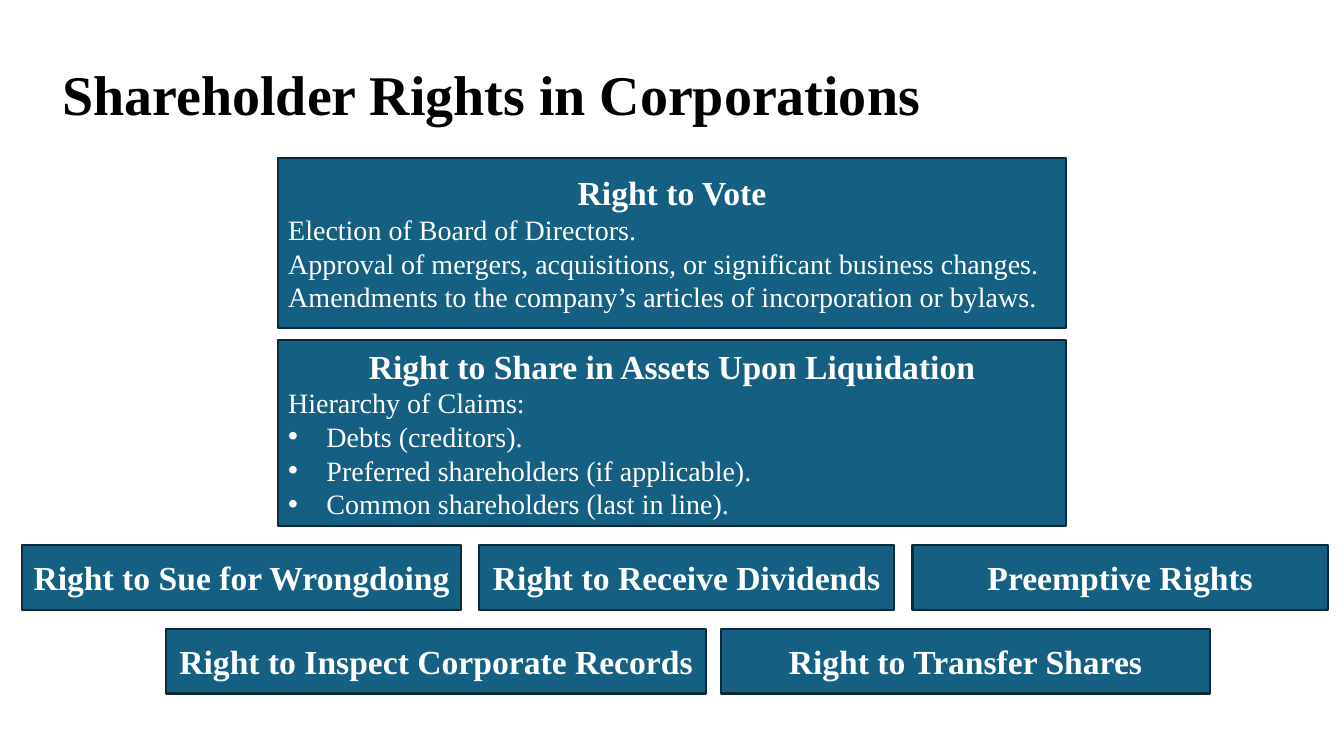
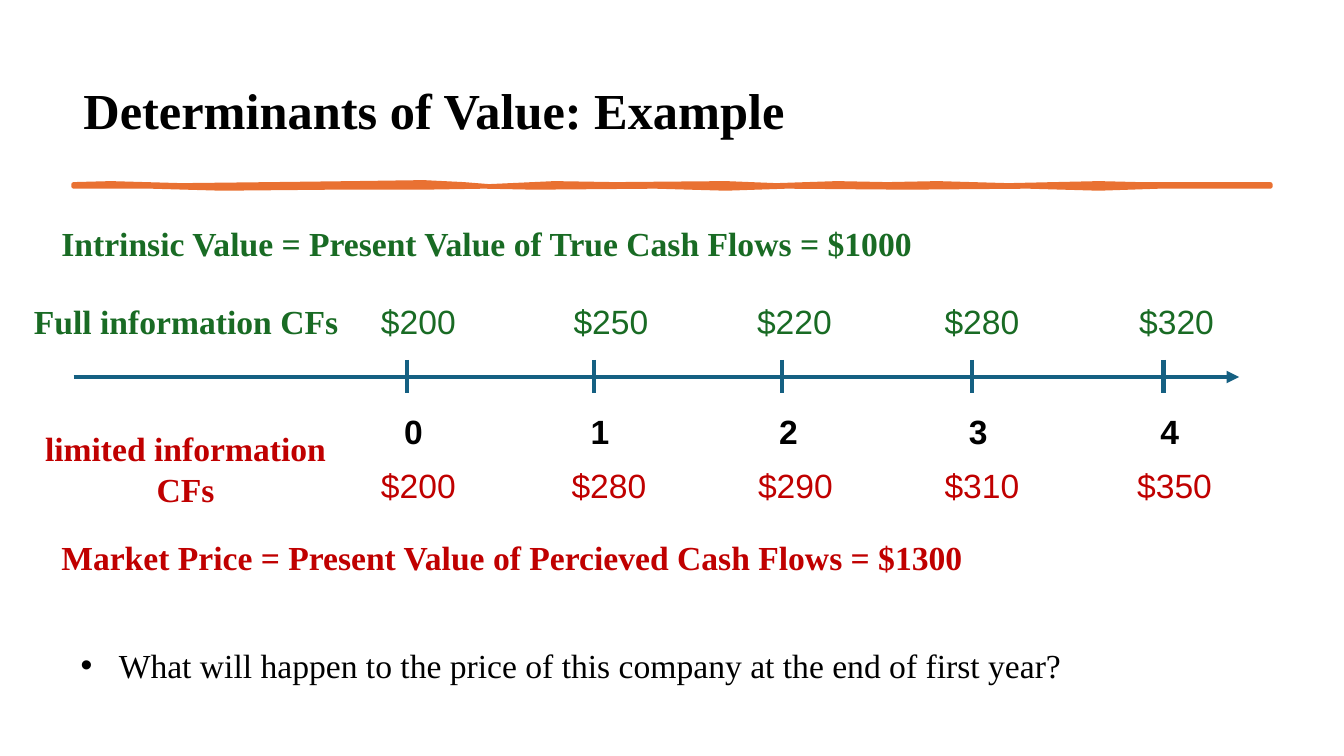
from typing import NamedTuple, Sequence

from lxml.etree import SubElement
from pptx import Presentation
from pptx.dml.color import RGBColor
from pptx.enum.shapes import MSO_CONNECTOR, MSO_SHAPE
from pptx.enum.text import MSO_ANCHOR, PP_ALIGN
from pptx.oxml.ns import qn
from pptx.slide import Slide
from pptx.text.text import TextFrame
from pptx.util import Inches, Pt

BLACK = RGBColor(0x00, 0x00, 0x00)
WHITE = RGBColor(0xFF, 0xFF, 0xFF)
BLUE = RGBColor(0x15, 0x60, 0x82)
NAVY = RGBColor(0x09, 0x2A, 0x39)
GREEN = RGBColor(0x19, 0x6B, 0x24)
RED = RGBColor(0xC0, 0x00, 0x00)
ORANGE = RGBColor(0xE9, 0x71, 0x32)
SERIF = "Times New Roman"
SANS = "Arial"


class Area(NamedTuple):
    left: float
    top: float
    width: float
    height: float

    def lengths(self) -> list[Inches]:
        return [Inches(value) for value in self]


class Right(NamedTuple):
    area: Area
    heading: str
    details: Sequence[str] = ()
    bullets: Sequence[str] = ()


class RightsRow(NamedTuple):
    left: float
    top: float
    gap: float
    entries: Sequence[tuple[str, float]]


class Period(NamedTuple):
    tick: float
    true_left: float
    true_flow: str
    perceived_left: float
    perceived_flow: str


class Statement(NamedTuple):
    area: Area
    text: str
    color: RGBColor
    align: PP_ALIGN = PP_ALIGN.LEFT
    wrap: bool = False


RIGHTS = (
    Right(
        Area(2.76, 1.57, 7.81, 1.68),
        "Right to Vote",
        (
            "Election of Board of Directors.",
            "Approval of mergers, acquisitions, or significant business changes.",
            "Amendments to the company’s articles of incorporation or bylaws.",
        ),
    ),
    Right(
        Area(2.76, 3.37, 7.81, 1.85),
        "Right to Share in Assets Upon Liquidation",
        ("Hierarchy of Claims:",),
        (
            "Debts (creditors).",
            "Preferred shareholders (if applicable).",
            "Common shareholders (last in line).",
        ),
    ),
)
RIGHTS_ROWS = (
    RightsRow(0.22, 5.41, 0.18, (
        ("Right to Sue for Wrongdoing", 4.35),
        ("Right to Receive Dividends", 4.12),
        ("Preemptive Rights", 4.12),
    )),
    RightsRow(1.65, 6.24, 0.15, (
        ("Right to Inspect Corporate Records", 5.35),
        ("Right to Transfer Shares", 4.85),
    )),
)
ROW_HEIGHT = 0.64

PERIODS = (
    Period(4.04, 3.68, "$200", 3.68, "$200"),
    Period(5.89, 5.59, "$250", 5.57, "$280"),
    Period(7.76, 7.41, "$220", 7.42, "$290"),
    Period(9.64, 9.27, "$280", 9.27, "$310"),
    Period(11.54, 11.2, "$320", 11.18, "$350"),
)
STATEMENTS = (
    Statement(Area(0.51, 2.16, 8.72, 0.5),
              "Intrinsic Value = Present Value of True Cash Flows = $1000", GREEN),
    Statement(Area(0.22, 2.94, 3.25, 0.5), "Full information CFs", GREEN,
              PP_ALIGN.CENTER),
    Statement(Area(0.24, 4.2, 3.2, 0.91), "limited information CFs", RED,
              PP_ALIGN.CENTER, True),
    Statement(Area(0.51, 5.28, 9.22, 0.5),
              "Market Price = Present Value of Percieved Cash Flows = $1300", RED),
)
BRUSH_EDGE = (
    (0.73, 1.83), (1.1, 1.82), (1.8, 1.84), (2.7, 1.83), (3.5, 1.82),
    (4.2, 1.81), (4.6, 1.83), (4.85, 1.85), (5.5, 1.82), (6.1, 1.83),
    (7.2, 1.82), (7.7, 1.84), (8.3, 1.82), (8.8, 1.83), (9.3, 1.82),
    (10, 1.84), (10.9, 1.82), (11.3, 1.83), (12.6, 1.83),
    (12.6, 1.85), (11.5, 1.85), (10.9, 1.87), (10.2, 1.85), (9, 1.86),
    (7.8, 1.85), (7.2, 1.87), (6.5, 1.85), (5.3, 1.86), (4.8, 1.85),
    (4.2, 1.86), (3.3, 1.86), (2.2, 1.87), (1.5, 1.85), (0.73, 1.85),
)


def write(frame: TextFrame, text: str, *, size: float = 24,
          color: RGBColor = BLACK, font: str = SERIF, bold: bool = False,
          align: PP_ALIGN = PP_ALIGN.LEFT, spacing: float = 1.0,
          bullet: bool = False) -> None:
    paragraph = frame.paragraphs[0] if not frame.text else frame.add_paragraph()
    paragraph.alignment = align
    paragraph.line_spacing = spacing
    if bullet:
        properties = paragraph._p.get_or_add_pPr()
        properties.set("marL", str(Inches(0.38)))
        properties.set("indent", str(-Inches(0.38)))
        SubElement(properties, qn("a:buFont"), typeface=SANS)
        SubElement(properties, qn("a:buChar"), char="•")
    run = paragraph.add_run()
    run.text = text
    run.font.size = Pt(size)
    run.font.name = font
    run.font.bold = bold
    run.font.color.rgb = color


def add_frame(slide: Slide, area: Area, wrap: bool = False,
              anchor: MSO_ANCHOR = MSO_ANCHOR.TOP) -> TextFrame:
    frame = slide.shapes.add_textbox(*area.lengths()).text_frame
    frame.word_wrap = wrap
    frame.vertical_anchor = anchor
    return frame


def add_title(slide: Slide, text: str, area: Area, size: float,
              anchor: MSO_ANCHOR) -> None:
    write(add_frame(slide, area, True, anchor), text, size=size, bold=True,
          spacing=0.9)


def add_right(slide: Slide, right: Right) -> None:
    panel = slide.shapes.add_shape(MSO_SHAPE.RECTANGLE, *right.area.lengths())
    panel.shadow.inherit = False
    panel.fill.solid()
    panel.fill.fore_color.rgb = BLUE
    panel.line.color.rgb = NAVY
    panel.line.width = Pt(1.5)
    frame = panel.text_frame
    frame.word_wrap = True
    frame.vertical_anchor = MSO_ANCHOR.MIDDLE
    write(frame, right.heading, color=WHITE, bold=True, align=PP_ALIGN.CENTER)
    for detail in right.details:
        write(frame, detail, size=20, color=WHITE)
    for claim in right.bullets:
        write(frame, claim, size=20, color=WHITE, bullet=True)


def add_rights_row(slide: Slide, row: RightsRow) -> None:
    left = row.left
    for heading, width in row.entries:
        add_right(slide, Right(Area(left, row.top, width, ROW_HEIGHT), heading))
        left += width + row.gap


def add_line(slide: Slide, start: tuple[float, float], end: tuple[float, float],
             arrow: bool = False) -> None:
    line = slide.shapes.add_connector(
        MSO_CONNECTOR.STRAIGHT, *(Inches(value) for value in start + end))
    line.line.color.rgb = BLUE
    line.line.width = Pt(3)
    if arrow:
        SubElement(line.line._get_or_add_ln(), qn("a:tailEnd"), type="triangle")
    SubElement(line._element.spPr, qn("a:effectLst"))


def add_brush_stroke(slide: Slide) -> None:
    points = [(Inches(x), Inches(y)) for x, y in BRUSH_EDGE]
    builder = slide.shapes.build_freeform(*points[0])
    builder.add_line_segments(points[1:], close=True)
    stroke = builder.convert_to_shape()
    stroke.shadow.inherit = False
    stroke.fill.solid()
    stroke.fill.fore_color.rgb = ORANGE
    stroke.line.color.rgb = ORANGE
    stroke.line.width = Pt(3.25)


def add_timeline(slide: Slide) -> None:
    add_line(slide, (0.73, 3.74), (12.29, 3.74), arrow=True)
    for year, period in enumerate(PERIODS):
        add_line(slide, (period.tick, 3.57), (period.tick, 3.9))
        write(add_frame(slide, Area(period.tick - 0.13, 4.03, 0.39, 0.5)),
              str(year), font=SANS, bold=True)
        for left, top, flow, color in (
            (period.true_left, 2.94, period.true_flow, GREEN),
            (period.perceived_left, 4.56, period.perceived_flow, RED),
        ):
            write(add_frame(slide, Area(left, top, 0.95, 0.5)), flow,
                  font=SANS, color=color)


def build_rights(slide: Slide) -> None:
    add_title(slide, "Shareholder Rights in Corporations",
              Area(0.52, 0.49, 11.89, 0.83), 40, MSO_ANCHOR.BOTTOM)
    for right in RIGHTS:
        add_right(slide, right)
    for row in RIGHTS_ROWS:
        add_rights_row(slide, row)


def build_value_example(slide: Slide) -> None:
    add_title(slide, "Determinants of Value: Example",
              Area(0.73, 0.4, 11.87, 1.45), 36, MSO_ANCHOR.MIDDLE)
    add_brush_stroke(slide)
    add_timeline(slide)
    for statement in STATEMENTS:
        write(add_frame(slide, statement.area, statement.wrap), statement.text,
              color=statement.color, bold=True, align=statement.align)
    write(add_frame(slide, Area(0.7, 6.35, 10.01, 0.5)),
          "What will happen to the price of this company at the end of first year?",
          bullet=True)


def main() -> None:
    deck = Presentation()
    deck.slide_width = Inches(13.33)
    deck.slide_height = Inches(7.5)
    blank = deck.slide_layouts[6]
    for build in (build_rights, build_value_example):
        build(deck.slides.add_slide(blank))
    deck.save("out.pptx")


if __name__ == "__main__":
    main()
